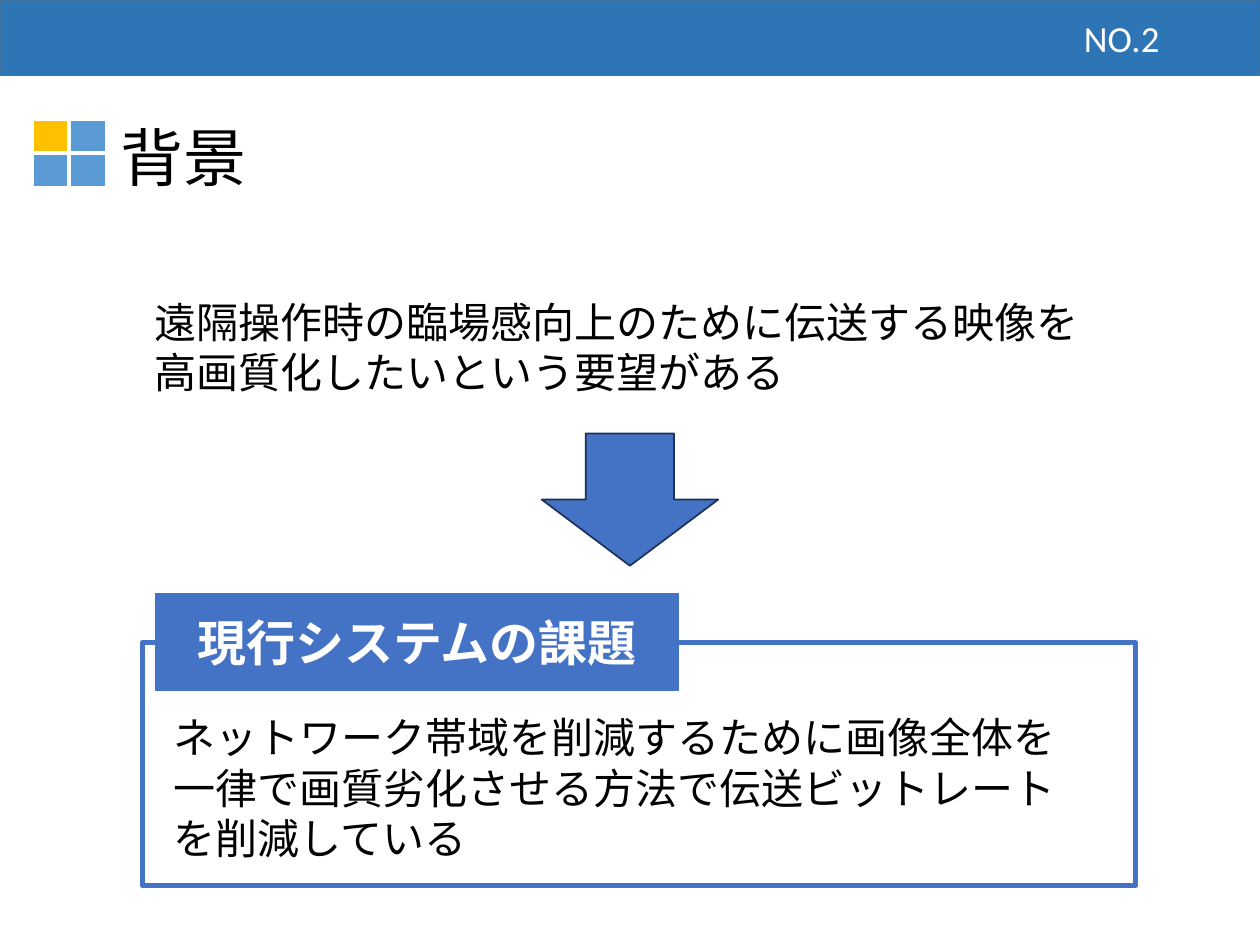
from pptx import Presentation
from pptx.dml.color import RGBColor
from pptx.enum.shapes import MSO_SHAPE as Shape
from pptx.enum.text import MSO_ANCHOR as Anchor, MSO_AUTO_SIZE as AutoSize, PP_ALIGN as Align
from pptx.util import Inches, Pt

COLORS = {
    "band": "2E75B6", "band_line": "41719C", "accent": "FFC000", "tile": "5B9BD5",
    "blue": "4472C4", "arrow_line": "1E3256", "white": "FFFFFF", "black": "000000",
}


def rgb(name):
    return RGBColor.from_string(COLORS[name])


def add_block(slide, box, fill, line, width=1, kind=Shape.RECTANGLE):
    block = slide.shapes.add_shape(kind, *map(Inches, box))
    block.shadow.inherit = False
    block.fill.solid()
    block.fill.fore_color.rgb = rgb(fill)
    block.line.color.rgb = rgb(line)
    block.line.width = Pt(width)
    return block


def write(shape, text, size, font="Arial", color="black", bold=False,
          align=Align.LEFT, anchor=Anchor.TOP, wrap=True):
    frame = shape.text_frame
    frame.text = text
    frame.auto_size = AutoSize.NONE
    frame.word_wrap = wrap
    frame.vertical_anchor = anchor
    paragraph = frame.paragraphs[0]
    paragraph.alignment = align
    style = paragraph.runs[0].font
    style.name, style.size, style.bold = font, Pt(size), bold
    style.color.rgb = rgb(color)


def add_text(slide, box, text, size, **style):
    write(slide.shapes.add_textbox(*map(Inches, box)), text, size, **style)


def add_header(slide, box):
    left, top, width, height = box
    add_block(slide, box, "band", "band_line")
    add_text(slide, (left + width - 2.01, top + 0.05, 1.31, height - 0.1), "NO.2", 21,
             font="Calibri", color="white", align=Align.RIGHT, anchor=Anchor.MIDDLE)


def add_heading(slide, box):
    left, top, width, height = box
    # Two-by-two tile mark, first tile highlighted
    for row in range(2):
        for column in range(2):
            tile = (left + 0.3 * column, top + 0.06 + 0.27 * row, 0.28, 0.26)
            add_block(slide, tile, "tile" if row or column else "accent", "white")
    title = slide.shapes.title
    title.left, title.top = Inches(left + 0.6), Inches(top)
    title.width, title.height = Inches(width - 0.6), Inches(height)
    write(title, "背景", 36, font="Calibri", wrap=False)


def add_request(slide, box):
    left, top, width, height = box
    add_text(slide, (left, top, width, 0.91),
             "遠隔操作時の臨場感向上のために伝送する映像を高画質化したいという要望がある", 24)
    # Arrow leading to the issue
    add_block(slide, (left + 3.17, top + height - 1.05, 1.4, 1.05),
              "blue", "arrow_line", kind=Shape.DOWN_ARROW)


def add_issue(slide, box):
    left, top, width, height = box
    # Frame with a label across its top edge
    add_block(slide, (left, top + 0.39, width, height - 0.39), "white", "blue", 3)
    label = add_block(slide, (left + 0.11, top, 4.14, 0.77), "blue", "blue")
    write(label, "現行システムの課題", 28, color="white", bold=True,
          align=Align.CENTER, anchor=Anchor.MIDDLE)
    add_text(slide, (left + 0.15, top + 0.89, width - 0.57, 1.31),
             "ネットワーク帯域を削減するために画像全体を一律で画質劣化させる方法で"
             "伝送ビットレートを削減している", 24)


def main():
    deck = Presentation()
    deck.slide_width, deck.slide_height = Inches(10), Inches(7.5)
    slide = deck.slides.add_slide(deck.slide_layouts[5])
    add_header(slide, (0, 0, 10, 0.6))
    add_heading(slide, (0.26, 0.89, 1.81, 0.71))
    add_request(slide, (1.13, 2.3, 7.73, 2.19))
    add_issue(slide, (1.13, 4.71, 7.88, 2.32))
    deck.save("out.pptx")


if __name__ == "__main__":
    main()
